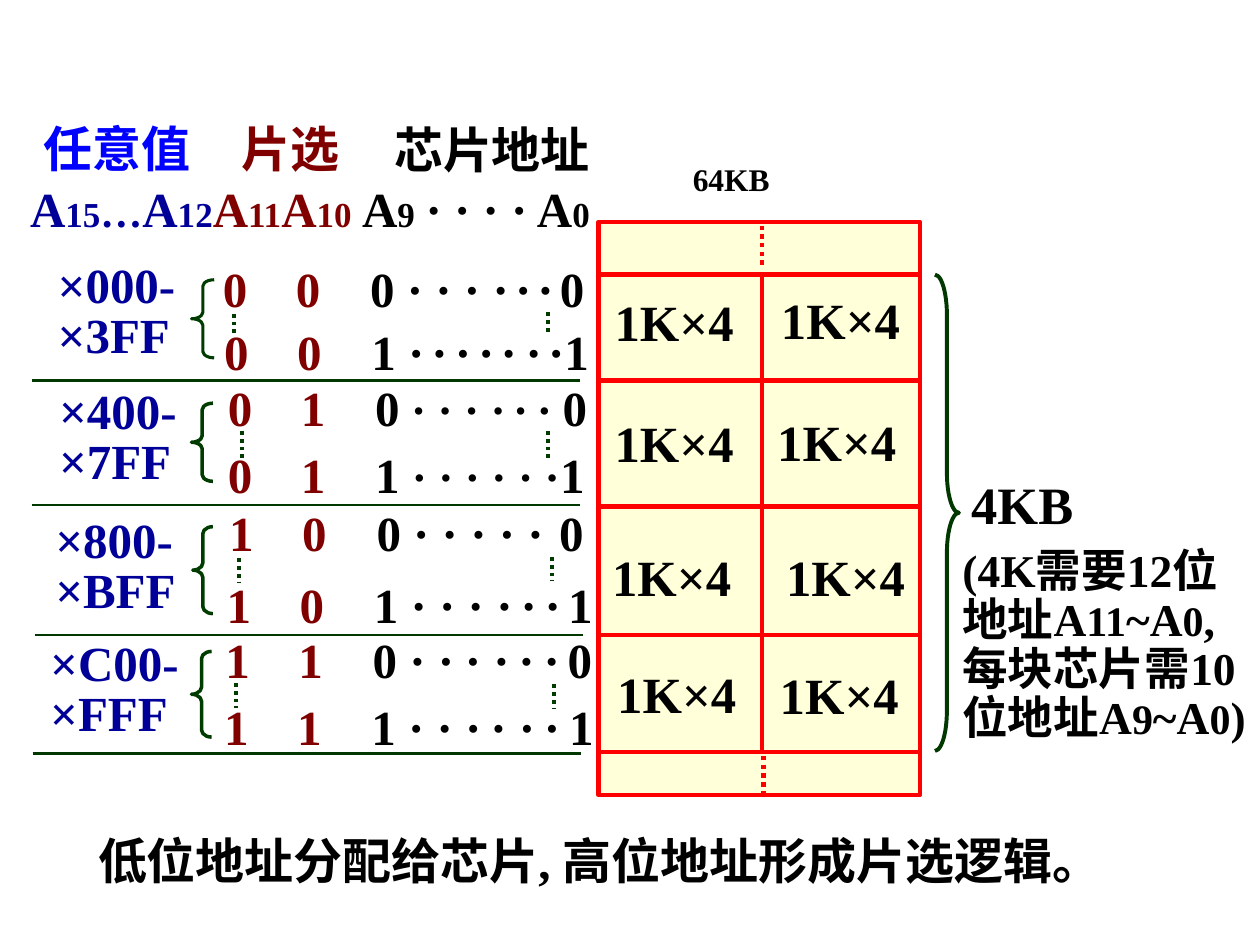
from itertools import groupby

from lxml import etree
from pptx import Presentation
from pptx.dml.color import RGBColor
from pptx.enum.dml import MSO_LINE
from pptx.enum.shapes import MSO_CONNECTOR, MSO_SHAPE
from pptx.oxml.ns import qn
from pptx.util import Emu, Pt

PX = 9144
STRAIGHT = MSO_CONNECTOR.STRAIGHT
RECT, LEFT_BRACE, RIGHT_BRACE = MSO_SHAPE.RECTANGLE, MSO_SHAPE.LEFT_BRACE, MSO_SHAPE.RIGHT_BRACE
DOTTED = MSO_LINE.ROUND_DOT
LATIN, ASIAN = "Times New Roman", "Noto Sans CJK SC"
BLACK, NAVY, BLUE, MAROON = "000000", "000099", "0000FF", "800000"
RED, GREEN, DARK_GREEN, CREAM = "FF0000", "003800", "003C00", "FFFFD9"
TAB_STOPS = (58, 117, 262)

HEADINGS = [("任意值", 25, 89, 176, BLUE), ("片选", 182, 89, 142, MAROON), ("芯片地址", 303, 90, 212, BLACK)]
ADDRESS_BITS = [
    ("A", 28, NAVY), ("15", 20, NAVY), ("…", 24, NAVY), ("A", 28, NAVY), ("12", 20, NAVY),
    ("A", 28, MAROON), ("11", 20, MAROON), ("A", 28, MAROON), ("10", 20, MAROON),
    (" ", 24, BLACK), ("A", 28, BLACK), ("9", 20, BLACK), (" ", 24, BLACK),
    ("· · · · A", 28, BLACK), ("0", 20, BLACK),
]
NOTE = [
    ("(4K需要12位地址A", 26, BLACK), ("11", 24, BLACK), ("~A", 26, BLACK), ("0", 24, BLACK),
    (", 每块芯片需10位地址A", 26, BLACK), ("9", 24, BLACK), ("~A", 26, BLACK), ("0", 24, BLACK),
    (")", 26, BLACK),
]
RANGES = [("×000-\n×3FF", 36, 204, 137), ("×400- ×7FF", 37, 304, 139),
          ("×800- ×BFF", 34, 407, 129), ("×C00-\n×FFF", 30, 504, 147)]
CHIPS = [(478, 226), (610, 224), (478, 322), (607, 321), (476, 428), (614, 428), (480, 521), (609, 522)]
# Each gap is the size of the space before the next dot or the final digit; None is a tab.
ROWS = [
    ("00", "0", 167, 200, 28, [28, 28, 28, 28, 14, 14, 14], 1),
    ("00", "1", 168, 254, 28, [28, 16, 16, 16, 14, 20, 14, 0], 0.95),
    ("01", "0", 171, 295, 26, [26, 26, 26, 26, 16, 20, 24], 1),
    ("01", "1", 171, 351, 26, [28, 26, 26, 26, 26, 26, 0], 0.95),
    ("10", "0", 172, 394, 28, [28, 28, 28, 28, 28, None], 1),
    ("10", "1", 170, 451, 28, [28, 28, 28, 28, 18, 18, 16], 1),
    ("11", "0", 169, 495, 28, [28, 28, 24, 28, 20, 20, 18], 1),
    ("11", "1", 168, 548, 28, [28, 28, 28, 20, 28, 20, 20], 1),
]
BRACES = [(152, 222, 18, 62, 0.281, 1.75), (152, 320, 17, 62, 0.306, 2),
          (153, 418, 16, 69, 0.353, 2), (152, 517, 16, 68, 0.353, 2)]
ELLIPSES = [(186, 249, 265), (435, 248, 264), (192, 342, 365), (435, 342, 364),
            (190, 443, 463), (438, 442, 461), (187, 542, 562), (440, 543, 562)]
RULES = [(25, 302), (25, 401), (28, 504), (26, 598)]


def px(n):
    """Turn px into EMU."""
    return Emu(round(n * PX))


def color(value):
    """Turn a hex string into a colour."""
    return RGBColor.from_string(value)


def format_run(r, size, hue):
    """Give a run its fonts, size and colour."""
    r.font.name, r.font.size, r.font.bold = LATIN, Pt(size), True
    r.font.color.rgb = color(hue)
    r.font._element.find(qn("a:latin")).addnext(
        etree.Element(qn("a:ea"), typeface=ASIAN))


def add_box(s, x, y, w, h):
    """Add an empty wrapping text box and return its frame."""
    tf = s.shapes.add_textbox(px(x), px(y), px(w), px(h)).text_frame
    tf.word_wrap = True
    return tf


def add_text(s, text, x, y, w, h, size=28, hue=BLACK, spacing=1):
    """Add text in a single style."""
    tf = add_box(s, x, y, w, h)
    tf.text = text
    for p in tf.paragraphs:
        p.line_spacing = spacing
        for r in p.runs:
            format_run(r, size, hue)


def add_rich_text(s, runs, x, y, w, h, spacing=1):
    """Add a paragraph of (text, size, colour) runs and return it."""
    p = add_box(s, x, y, w, h).paragraphs[0]
    p.line_spacing = spacing
    for (size, hue), parts in groupby(runs, key=lambda run: run[1:]):
        r = p.add_run()
        r.text = "".join(part[0] for part in parts)
        format_run(r, size, hue)
    return p


def add_address_row(s, select, digit, x, y, dot_size, gaps, spacing):
    """Add one row of chip select and chip address bits on tab stops."""
    runs = [("\t".join(select) + "\t", 28, MAROON), (digit, 28, BLACK)]
    for i, gap in enumerate(gaps):
        if gap != 0:
            runs.append(("\t", 28, BLACK) if gap is None else (" ", gap, BLACK))
        last = i == len(gaps) - 1
        runs.append((digit, 28, BLACK) if last else ("·", dot_size, BLACK))
    p = add_rich_text(s, runs, x, y, 340, 57, spacing)
    tabs = etree.SubElement(p._p.get_or_add_pPr(), qn("a:tabLst"))
    for stop in TAB_STOPS:
        etree.SubElement(tabs, qn("a:tab"), pos=str(px(stop)), algn="l")


def add_line(s, x1, y1, x2, y2, hue, width, dash=None):
    """Add a straight line."""
    c = s.shapes.add_connector(STRAIGHT, px(x1), px(y1), px(x2), px(y2))
    c.line.color.rgb, c.line.width = color(hue), Pt(width)
    if dash:
        c.line.dash_style = dash
    etree.SubElement(c._element.spPr, qn("a:effectLst"))


def add_outline(s, kind, x, y, w, h, hue, width, fill=None, curve=None):
    """Add a preset shape with an outline and an optional fill."""
    sp = s.shapes.add_shape(kind, px(x), px(y), px(w), px(h))
    sp.shadow.inherit = False
    sp.line.color.rgb, sp.line.width = color(hue), Pt(width)
    if fill:
        sp.fill.solid()
        sp.fill.fore_color.rgb = color(fill)
    else:
        sp.fill.background()
    if curve:
        sp.adjustments[0] = curve


def add_memory_map(s):
    """Draw the 64KB memory with its four pairs of chips."""
    add_text(s, "4KB", 761, 383, 112, 45, 30, spacing=0.7)
    add_text(s, "64KB", 540, 130, 130, 31, 18, spacing=0.7)
    add_outline(s, RECT, 475, 176, 255, 455, RED, 2.5, CREAM)
    for y in (218, 302, 402, 504, 597):
        add_line(s, 475, y, 730, y, RED, 2.5)
    add_line(s, 605, 220, 605, 597, RED, 2.5)
    for x, y in ((605, 179), (606, 600)):
        add_line(s, x, y, x, y + 31, RED, 2.5, DOTTED)
    for x, y in CHIPS:
        add_text(s, "1K×4", x, y, 130, 58, 29)
    add_outline(s, RIGHT_BRACE, 742, 218, 19, 378, GREEN, 2.25, curve=1.681)


def add_address_table(s):
    """Draw the address ranges with their bit patterns."""
    for text, x, y, w in RANGES:
        add_text(s, text, x, y, w, 90, 28, NAVY, 0.85)
    for x, y in RULES:
        add_line(s, x, y, x + 435, y, GREEN, 1.25)
    for row in ROWS:
        add_address_row(s, *row)
    for x, top, bottom in ELLIPSES:
        add_line(s, x, top, x, bottom, DARK_GREEN, 2.25, DOTTED)
    for x, y, w, h, curve, width in BRACES:
        add_outline(s, LEFT_BRACE, x, y, w, h, DARK_GREEN, width, curve=curve)


def main():
    """Build the slide and save it."""
    prs = Presentation()
    prs.slide_width, prs.slide_height = px(1000), px(750)
    s = prs.slides.add_slide(prs.slide_layouts[6])
    add_rich_text(s, ADDRESS_BITS, 14, 137, 474, 57)
    for text, x, y, w, hue in HEADINGS:
        add_text(s, text, x, y, w, 57, 28, hue)
    add_text(s, "低位地址分配给芯片, 高位地址形成片选逻辑。", 68, 654, 880, 57)
    add_memory_map(s)
    add_address_table(s)
    add_rich_text(s, NOTE, 754, 430, 256, 166, 0.9)
    prs.save("out.pptx")


if __name__ == "__main__":
    main()
